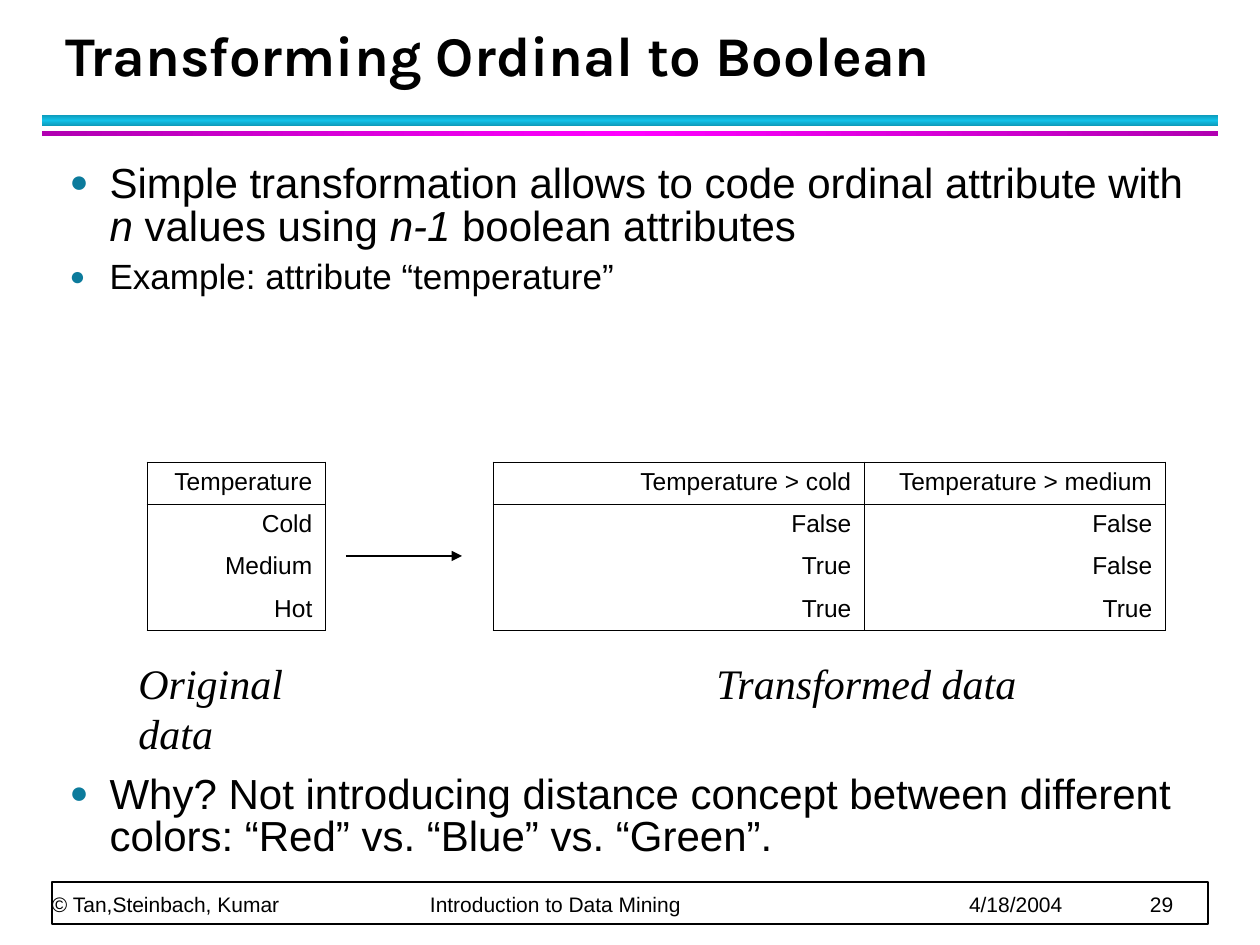
from lxml import etree
from pptx import Presentation
from pptx.dml.color import RGBColor
from pptx.enum.shapes import MSO_CONNECTOR, MSO_SHAPE
from pptx.enum.text import MSO_ANCHOR, MSO_AUTO_SIZE, PP_ALIGN
from pptx.oxml.ns import qn
from pptx.util import Pt

PX_PER_INCH = 126
BLACK = RGBColor(0x00, 0x00, 0x00)
WHITE = RGBColor(0xFF, 0xFF, 0xFF)
TEAL = RGBColor(0x0C, 0x7B, 0x9C)
CYAN = RGBColor(0x12, 0xC2, 0xE9)
DARK_CYAN = RGBColor(0x0E, 0x9A, 0xB9)
MAGENTA = RGBColor(0xFF, 0x00, 0xFF)
DARK_MAGENTA = RGBColor(0xB1, 0x00, 0xB1)


def px(length):
    return round(length * 914400 / PX_PER_INCH)


def box_emu(*box):
    return [px(length) for length in box]


def set_font(font, name, size, bold=False, italic=False):
    font.name, font.size = name, Pt(size)
    font.bold, font.italic = bold, italic
    font.color.rgb = BLACK


def add_child(parent, tag, **attributes):
    return etree.SubElement(parent, qn(tag), attributes)


def add_solid_fill(parent, color):
    add_child(add_child(parent, "a:solidFill"), "a:srgbClr", val=str(color))


def add_rectangle(slide, box):
    shape = slide.shapes.add_shape(MSO_SHAPE.RECTANGLE, *box_emu(*box))
    shape.shadow.inherit = False
    return shape


def add_gradient_bar(slide, box, edge, middle, angle):
    bar = add_rectangle(slide, box)
    bar.line.fill.background()
    bar.fill.gradient()
    bar.fill.gradient_angle = angle
    stops = bar._element.spPr.find(".//" + qn("a:gsLst"))
    for stop in list(stops):
        stops.remove(stop)
    for position, color in ((0, edge), (50, middle), (100, edge)):
        stop = add_child(stops, "a:gs", pos=str(position * 1000))
        add_child(stop, "a:srgbClr", val=str(color))


def add_header(slide, left, top, width):
    title = slide.shapes.title
    title.left, title.top, title.width, title.height = box_emu(left + 11, top, 1142, 73)
    frame = title.text_frame
    frame.text = "Transforming Ordinal to Boolean"
    frame.vertical_anchor = MSO_ANCHOR.BOTTOM
    frame.auto_size = MSO_AUTO_SIZE.NONE
    paragraph = frame.paragraphs[0]
    paragraph.alignment = PP_ALIGN.LEFT
    paragraph.line_spacing = Pt(36)
    set_font(paragraph.font, "Karla", 32, bold=True)
    add_gradient_bar(slide, (left, top + 94, width, 11), DARK_CYAN, CYAN, 90)
    add_gradient_bar(slide, (left, top + 110, width, 5), DARK_MAGENTA, MAGENTA, 0)


def add_bullet(paragraph):
    properties = paragraph._p.get_or_add_pPr()
    properties.set("marL", str(px(40)))
    properties.set("indent", str(px(-40)))
    color = add_child(properties, "a:buClr")
    add_child(color, "a:srgbClr", val=str(TEAL))
    add_child(properties, "a:buSzPct", val="75000")
    add_child(properties, "a:buFont", typeface="Arial")
    add_child(properties, "a:buChar", char="●")


def add_body(slide, *box):
    body = slide.placeholders[1]
    body.left, body.top, body.width, body.height = box_emu(*box)
    frame = body.text_frame
    frame.auto_size = MSO_AUTO_SIZE.NONE
    # Each item: size, space before, runs as (text, italic)
    items = [
        (24, 0, [("Simple transformation allows to code ordinal attribute with ", False),
                 ("n", True), (" values using ", False), ("n-1", True),
                 (" boolean attributes", False)]),
        (20, 2.5, [("Example: attribute “temperature”", False)]),
        (24, 269, [("Why? Not introducing distance concept between different "
                    "colors: “Red” vs. “Blue” vs. “Green”.", False)]),
    ]
    for index, (size, space_before, runs) in enumerate(items):
        paragraph = frame.add_paragraph() if index else frame.paragraphs[0]
        add_bullet(paragraph)
        paragraph.line_spacing = 0.85
        paragraph.space_before = Pt(space_before)
        paragraph.space_after = Pt(4)
        set_font(paragraph.font, "Arial", size)
        for text, italic in runs:
            run = paragraph.add_run()
            run.text = text
            if italic:
                run.font.italic = True


def set_borders(cell, sides):
    properties = cell._tc.get_or_add_tcPr()
    for side in "LRTB":
        line = add_child(properties, "a:ln" + side, w=str(Pt(0.45)))
        if side in sides:
            add_solid_fill(line, BLACK)
        else:
            add_child(line, "a:noFill")


def add_data_table(slide, left, top, column_widths, height, rows):
    """Add a table ruled around its header, its columns and its outer edge."""
    table = slide.shapes.add_table(
        len(rows), len(column_widths),
        *box_emu(left, top, sum(column_widths), height)).table
    table.first_row = table.horz_banding = False
    for column, width in zip(table.columns, column_widths):
        column.width = px(width)
    for row_index, row in enumerate(rows):
        sides = "LR"
        if row_index <= 1:
            sides += "T"
        if row_index in (0, len(rows) - 1):
            sides += "B"
        for column_index, text in enumerate(row):
            cell = table.cell(row_index, column_index)
            set_borders(cell, sides)
            cell.fill.background()
            cell.text = text
            paragraph = cell.text_frame.paragraphs[0]
            paragraph.alignment = PP_ALIGN.RIGHT
            set_font(paragraph.font, "Arial", 14)


def add_caption(slide, text, *box):
    frame = slide.shapes.add_textbox(*box_emu(*box)).text_frame
    frame.word_wrap = False
    frame.text = text
    set_font(frame.paragraphs[0].font, "Times New Roman", 24, italic=True)


def add_arrow(slide, left, right, y):
    arrow = slide.shapes.add_connector(
        MSO_CONNECTOR.STRAIGHT, *box_emu(left, y, right, y))
    arrow.line.color.rgb = BLACK
    arrow.line.width = Pt(0.75)
    add_child(arrow.line._get_or_add_ln(), "a:tailEnd", type="triangle")
    add_child(arrow._element.spPr, "a:effectLst")


def add_example(slide, left, top):
    add_data_table(slide, left, top, [178], 169,
                   [["Temperature"], ["Cold"], ["Medium"], ["Hot"]])
    add_data_table(slide, left + 346, top, [371, 301], 169,
                   [["Temperature > cold", "Temperature > medium"],
                    ["False", "False"], ["True", "False"], ["True", "True"]])
    add_arrow(slide, left + 199, left + 315, top + 94)
    add_caption(slide, "Original data", left - 21, top + 189, 254, 63)
    add_caption(slide, "Transformed data", left + 557, top + 189, 328, 63)


def add_footer(slide, left, top, width, height):
    frame_box = add_rectangle(slide, (left, top, width, height))
    frame_box.fill.solid()
    frame_box.fill.fore_color.rgb = WHITE
    frame_box.line.color.rgb = BLACK
    frame_box.line.width = Pt(1)
    frame = slide.shapes.add_textbox(*box_emu(left, top - 35, width, 70)).text_frame
    frame.word_wrap = True
    frame.vertical_anchor = MSO_ANCHOR.BOTTOM
    frame.margin_left = frame.margin_right = frame.margin_top = frame.margin_bottom = 0
    paragraph = frame.paragraphs[0]
    paragraph.line_spacing = Pt(20)
    tabs = add_child(paragraph._p.get_or_add_pPr(), "a:tabLst")
    for position in (378, 917, 1098):
        add_child(tabs, "a:tab", pos=str(px(position)), algn="l")
    set_font(paragraph.font, "Arial", 12)
    paragraph.add_run().text = "\t".join(
        ["© Tan,Steinbach, Kumar", "Introduction to Data Mining", "4/18/2004", "29"])


def main():
    presentation = Presentation()
    presentation.slide_width, presentation.slide_height = box_emu(1260, 945)
    slide = presentation.slides.add_slide(presentation.slide_layouts[1])
    add_header(slide, 42, 21, 1176)
    add_footer(slide, 52, 882, 1156, 42)
    add_body(slide, 57, 158, 1147, 714)
    add_example(slide, 147, 462)
    presentation.save("out.pptx")


if __name__ == "__main__":
    main()
